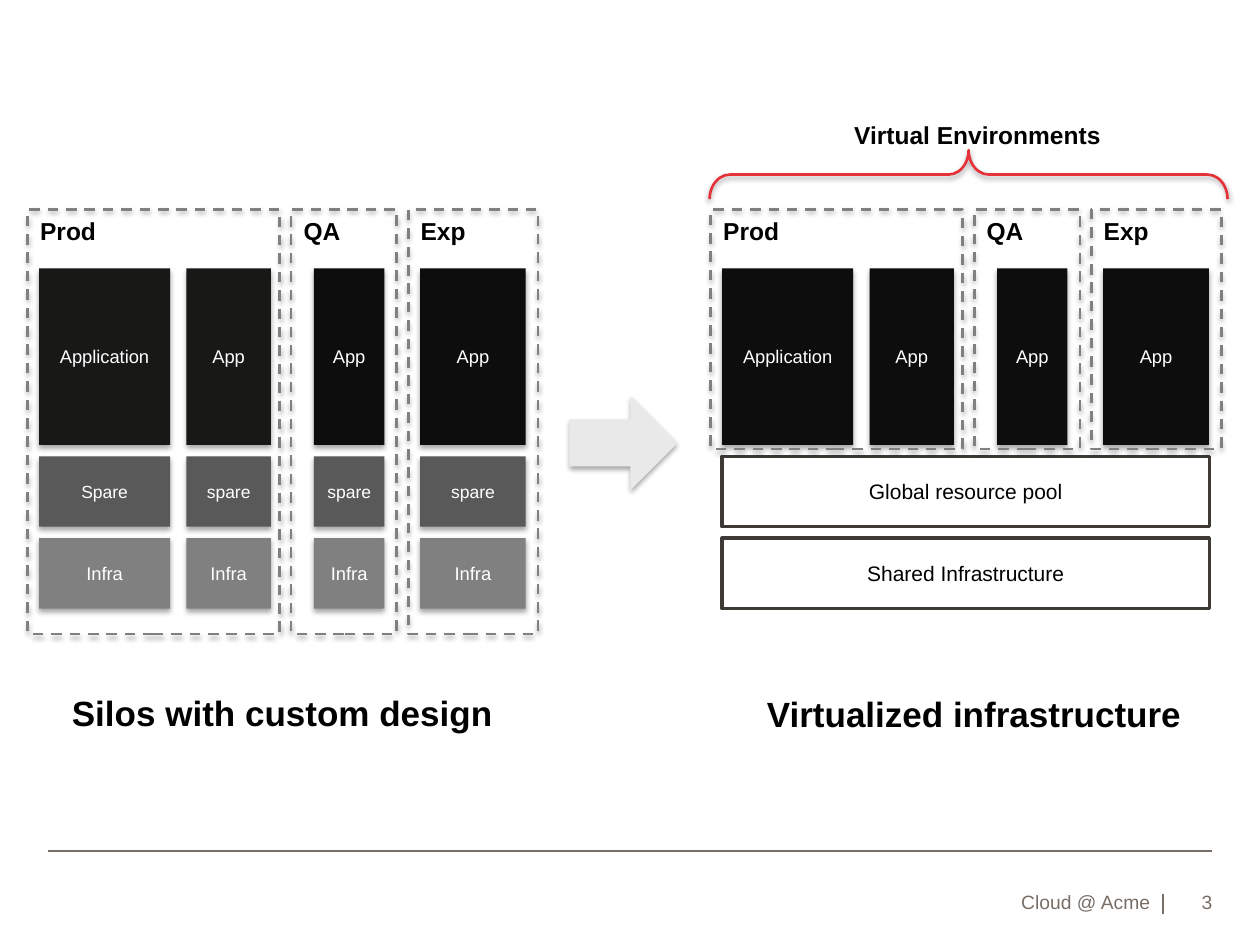
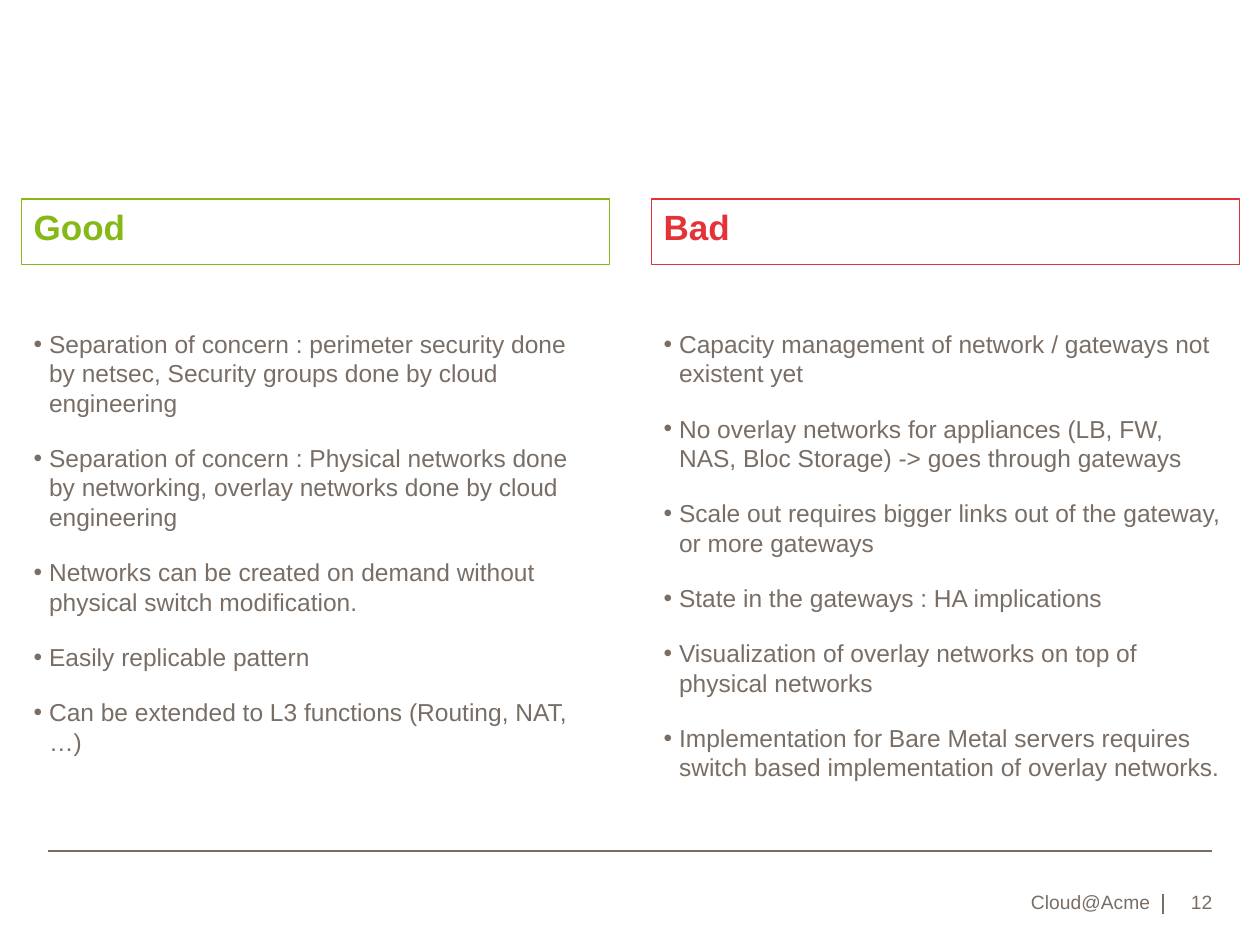
from lxml import etree
from pptx import Presentation, util as u
from pptx.dml import color
from pptx.enum import dml, shapes, text
from pptx.oxml import ns

# ---- Content ----
FOOTERS = [("Cloud @ Acme", "3"), ("Cloud@Acme", "12")]

# Environments: name, frame width, application blocks (offset in frame, width, label)
ENVIRONMENTS = [
    ("Prod", 5.08, [(0.23, 2.64, "Application"), (3.2, 1.7, "App")]),
    ("QA", 2.13, [(0.46, 1.42, "App")]),
    ("Exp", 2.62, [(0.24, 2.13, "App")]),
]
SHARED_LAYERS = ["Global resource pool", "Shared Infrastructure"]
SILO_CAPTION = "Silos with custom design"
VIRTUAL_CAPTION = "Virtualized infrastructure"
BRACE_LABEL = "Virtual Environments"

GOOD = [
    "Separation of concern : perimeter security done by netsec, "
    "Security groups done by cloud engineering",
    "Separation of concern : Physical networks done by networking, "
    "overlay networks done by cloud engineering",
    "Networks can be created on demand without physical switch modification.",
    "Easily replicable pattern",
    "Can be extended to L3 functions (Routing, NAT, …)",
]
BAD = [
    "Capacity management of network / gateways not existent yet",
    "No overlay networks for appliances (LB, FW, NAS, Bloc Storage) "
    "-> goes through gateways",
    "Scale out requires bigger links out of the gateway, or more gateways",
    "State in the gateways : HA implications",
    "Visualization of overlay networks on top of physical networks",
    "Implementation for Bare Metal servers requires switch based "
    "implementation of overlay networks.",
]

# ---- Shared style ----
FONT = "Arial"
TAUPE, BLACK, WHITE = "796E65", "000000", "FFFFFF"
RED, GREEN = "E53238", "86B817"
NEAR_BLACK, PROD_BLACK = "0D0D0D", "181817"
SPARE_GREY, MID_GREY, ARROW_GREY, OUTLINE = "595959", "808080", "E9E9E9", "3D3935"
INSETS = (0.25, 0.13, 0.25, 0.13)
LEFT, CENTER, RIGHT = text.PP_ALIGN.LEFT, text.PP_ALIGN.CENTER, text.PP_ALIGN.RIGHT
TOP, MIDDLE, BOTTOM = text.MSO_ANCHOR.TOP, text.MSO_ANCHOR.MIDDLE, text.MSO_ANCHOR.BOTTOM
RECT = shapes.MSO_SHAPE.RECTANGLE


def rgb(value):
    return color.RGBColor.from_string(value)


def box(values):
    return [u.Cm(value) for value in values]


def write(shape, lines, size, ink, bold=False, align=LEFT, anchor=TOP,
          insets=INSETS, wrap=True):
    """Fill a shape with one paragraph per line and return the paragraphs."""
    frame = shape.text_frame
    frame.word_wrap = wrap
    frame.vertical_anchor = anchor
    frame.margin_left, frame.margin_top, frame.margin_right, frame.margin_bottom = box(insets)
    for index, line in enumerate(lines):
        paragraph = frame.add_paragraph() if index else frame.paragraphs[0]
        paragraph.alignment = align
        run = paragraph.add_run()
        run.text = line
        run.font.name, run.font.size, run.font.bold = FONT, u.Pt(size), bold
        run.font.color.rgb = rgb(ink)
    return frame.paragraphs


def add_text(parent, place, line, size, ink, **style):
    write(parent.shapes.add_textbox(*box(place)), [line], size, ink, **style)


def add_shadow(shape, alpha):
    effects = shape._element.spPr.find(ns.qn("a:effectLst"))
    shadow = etree.SubElement(effects, ns.qn("a:outerShdw"), blurRad=str(u.Pt(3.1)),
                              dist=str(u.Pt(1.8)), dir="5400000", rotWithShape="0")
    ink = etree.SubElement(shadow, ns.qn("a:srgbClr"), val=BLACK)
    etree.SubElement(ink, ns.qn("a:alpha"), val=str(alpha * 1000))


def add_shape(parent, kind, place, fill=None, line=None, width=1.5, shadow=0):
    shape = parent.shapes.add_shape(kind, *box(place))
    shape.shadow.inherit = False
    if fill:
        shape.fill.solid()
        shape.fill.fore_color.rgb = rgb(fill)
    else:
        shape.fill.background()
    if line:
        shape.line.color.rgb = rgb(line)
        shape.line.width = u.Pt(width)
    else:
        shape.line.fill.background()
    if shadow:
        add_shadow(shape, shadow)
    return shape


def add_rule(slide, *ends):
    rule = slide.shapes.add_connector(shapes.MSO_CONNECTOR.STRAIGHT, *box(ends))
    rule.line.color.rgb = rgb(TAUPE)
    rule.line.width = u.Pt(1)
    etree.SubElement(rule._element.spPr, ns.qn("a:effectLst"))


def add_slide(presentation, footer, number):
    slide = presentation.slides.add_slide(presentation.slide_layouts[6])
    add_rule(slide, 0.97, 17.15, 24.43, 17.15)
    add_rule(slide, 23.44, 18.03, 23.44, 18.42)
    for place, line in [((13.89, 17.7, 9.3, 0.71), footer),
                        ((23.44, 17.72, 1.0, 0.69), number)]:
        add_text(slide, place, line, 11, TAUPE, align=RIGHT, anchor=BOTTOM,
                 insets=(0, 0.13, 0, 0))
    return slide


# ---- Environment diagrams ----
GAP = 0.23
FRAME_TOP, APP_TOP, APP_HEIGHT, LAYER_HEIGHT = 4.22, 5.41, 3.56, 1.42
SPARE_TOP = APP_TOP + APP_HEIGHT + GAP
INFRA_TOP = SPARE_TOP + LAYER_HEIGHT + GAP


def add_block(group, place, label, fill, size=10.5):
    block = add_shape(group, RECT, place, fill, shadow=35)
    write(block, [label], size, WHITE, align=CENTER, anchor=MIDDLE,
          insets=(0, 0.13, 0, 0.13))


def add_environments(group, left, frame_height, silo):
    for name, width, blocks in ENVIRONMENTS:
        for offset, block_width, label in blocks:
            x = left + offset
            if silo:
                spare = "Spare" if label == "Application" else "spare"
                add_block(group, (x, INFRA_TOP, block_width, LAYER_HEIGHT), "Infra", MID_GREY)
                add_block(group, (x, SPARE_TOP, block_width, LAYER_HEIGHT), spare,
                          SPARE_GREY, 10)
            fill = PROD_BLACK if silo and name == "Prod" else NEAR_BLACK
            add_block(group, (x, APP_TOP, block_width, APP_HEIGHT), label, fill)
        frame = add_shape(group, RECT, (left, FRAME_TOP, width, frame_height),
                          line=MID_GREY, shadow=35)
        frame.line.dash_style = dml.MSO_LINE.DASH
        add_text(group, (left, FRAME_TOP, width, 0.86), name, 14, BLACK, bold=True)
        left += width + GAP


presentation = Presentation()
presentation.slide_width, presentation.slide_height = u.Cm(25.4), u.Cm(19.05)

# ---- Slide 1: silos become shared infrastructure ----
slide = add_slide(presentation, *FOOTERS[0])
silos = slide.shapes.add_group_shape()
add_environments(silos, 0.56, 8.56, silo=True)
add_text(silos, (1.2, 13.82, 9.07, 1.12), SILO_CAPTION, 20, BLACK, bold=True, wrap=False)

add_shape(slide, shapes.MSO_SHAPE.RIGHT_ARROW, (11.48, 7.98, 2.18, 1.9),
          ARROW_GREY, shadow=35)

virtual = slide.shapes.add_group_shape()
for label, top in zip(SHARED_LAYERS, (SPARE_TOP, INFRA_TOP)):
    layer = add_shape(virtual, RECT, (14.56, top, 9.82, LAYER_HEIGHT), WHITE, OUTLINE, 2)
    write(layer, [label], 12, BLACK, align=CENTER, anchor=MIDDLE)
add_environments(virtual, 14.33, 4.83, silo=False)
add_text(virtual, (15.21, 13.84, 8.94, 1.12), VIRTUAL_CAPTION, 20, BLACK,
         bold=True, wrap=False)
brace = add_shape(virtual, shapes.MSO_SHAPE.LEFT_BRACE, (19.03, -1.7, 0.99, 10.44),
                  line=RED, shadow=38)
brace.rotation = 90
brace.adjustments[0], brace.adjustments[1] = 0.41, 0.5
add_text(virtual, (16.97, 2.29, 5.51, 0.86), BRACE_LABEL, 14, BLACK, bold=True, wrap=False)

# ---- Slide 2: good and bad ----
slide = add_slide(presentation, *FOOTERS[1])
COLUMN_WIDTH, INDENT = 11.86, 0.31
for left, heading, ink, points in [(0.43, "Good", GREEN, GOOD), (13.13, "Bad", RED, BAD)]:
    header = add_shape(slide, RECT, (left, 4.01, COLUMN_WIDTH, 1.33), line=ink, width=0.75)
    write(header, [heading], 20, ink, bold=True)[0].space_before = u.Pt(4)
    body = slide.shapes.add_textbox(*box((left, 6.5, COLUMN_WIDTH, 9.42)))
    for paragraph in write(body, points, 14, TAUPE):
        paragraph.space_before, paragraph.space_after = u.Pt(2.8), u.Pt(12)
        properties = paragraph._p.get_or_add_pPr()
        properties.set("marL", str(u.Cm(INDENT)))
        properties.set("indent", str(-u.Cm(INDENT)))
        etree.SubElement(properties, ns.qn("a:buFont"), typeface=FONT)
        etree.SubElement(properties, ns.qn("a:buChar"), char="•")

presentation.save("out.pptx")
